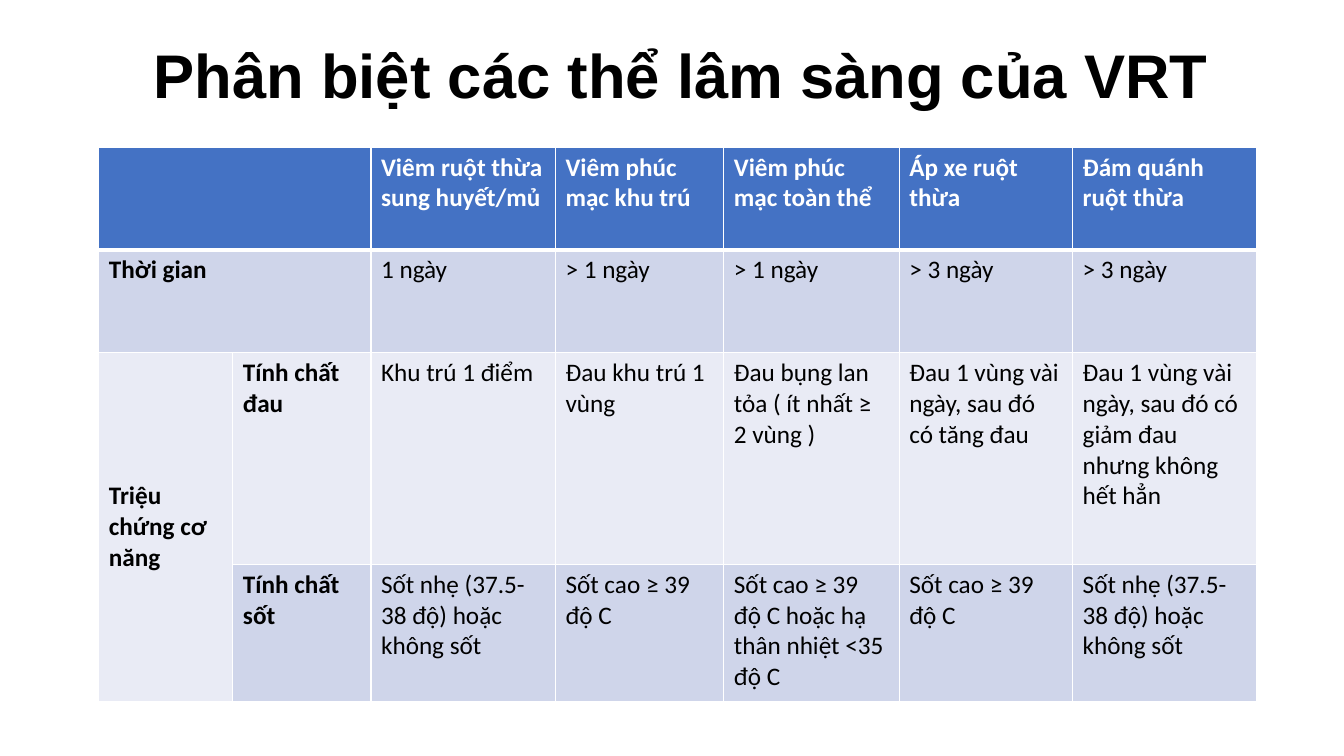
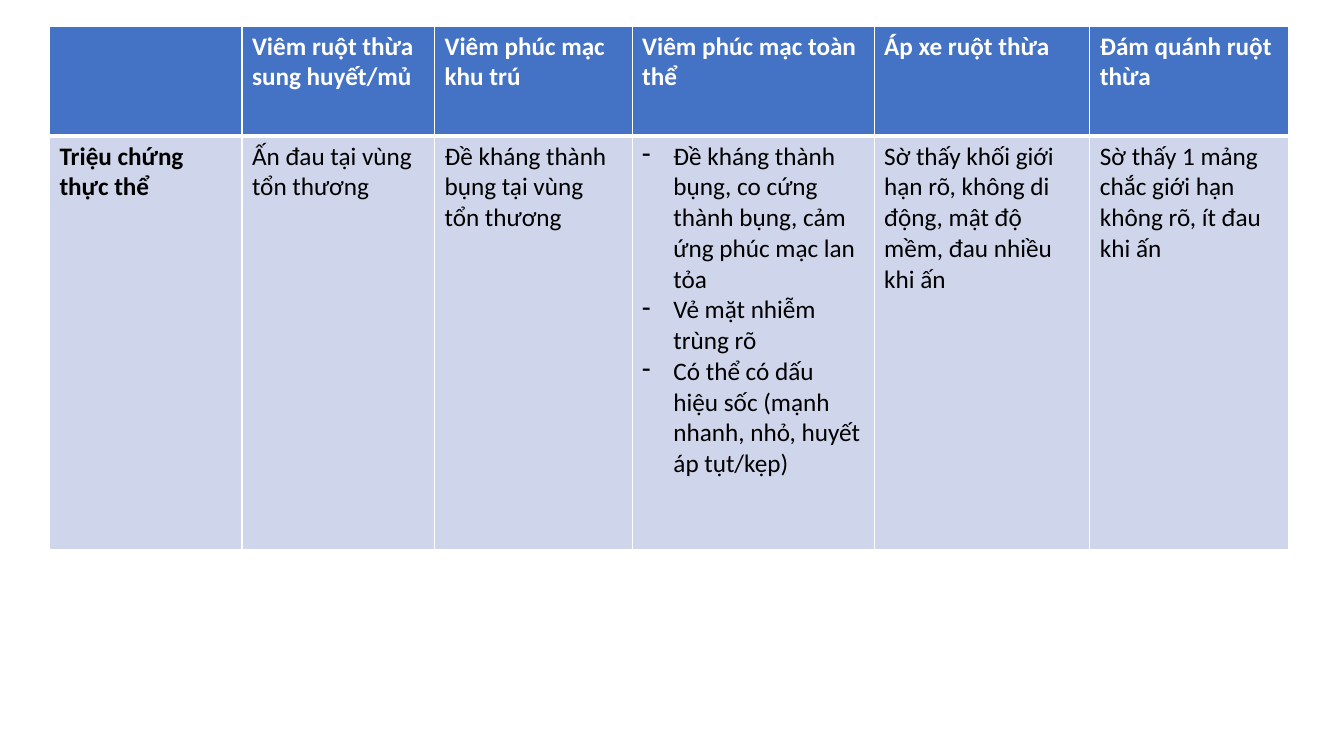
from pptx import Presentation
from pptx.dml.color import RGBColor
from pptx.enum.text import MSO_ANCHOR as Anchor, PP_ALIGN as Align
from pptx.oxml.ns import qn
from pptx.util import Pt
from lxml.etree import SubElement as Sub

PX = 9144
BLACK = RGBColor(0x00, 0x00, 0x00)
WHITE = RGBColor(0xFF, 0xFF, 0xFF)
BLUE = RGBColor(0x44, 0x72, 0xC4)
PALE = RGBColor(0xCF, 0xD5, 0xEA)
LIGHT = RGBColor(0xE9, 0xEB, 0xF5)

HEADS = ["Viêm ruột thừa sung huyết/mủ", "Viêm phúc mạc khu trú ",
         "Viêm phúc mạc toàn thể", "Áp xe ruột thừa", "Đám quánh ruột thừa"]


def write(frame, text, size=18, font="Calibri", color=BLACK, bold=False,
          align=Align.LEFT, space=None, bullet=None):
    lines = text.split("\n")
    for i, line in enumerate(lines):
        par = frame.paragraphs[0] if i == 0 else frame.add_paragraph()
        par.alignment = align
        if space:
            par.line_spacing = space
        if bullet:
            props = par._p.get_or_add_pPr()
            props.set("marL", str(31 * PX))
            props.set("indent", str(-31 * PX))
            Sub(props, qn("a:buChar")).set("char", bullet)
        run = par.add_run()
        run.text = line
        run.font.size = Pt(size)
        run.font.name = font
        run.font.color.rgb = color
        run.font.bold = bold


def grid(slide, left, top, cols, rows, cells, lead):
    frame = slide.shapes.add_table(len(rows), len(cols), left * PX, top * PX,
                                   sum(cols) * PX, sum(rows) * PX)
    table = frame.table
    for col, wide in zip(table.columns, cols):
        col.width = wide * PX
    for row, high in zip(table.rows, rows):
        row.height = high * PX
    for r, line in enumerate(cells):
        for c, text in enumerate(line):
            cell = table.cell(r, c)
            props = cell._tc.get_or_add_tcPr()
            for side in "LRTB":
                thick = (r, side) in [(0, "B"), (1, "T")]
                edge = Sub(props, qn("a:ln" + side), w=str(Pt(3 if thick else 1)))
                paint = Sub(edge, qn("a:solidFill"))
                Sub(paint, qn("a:srgbClr"), val=str(WHITE))
            cell.fill.solid()
            cell.fill.fore_color.rgb = BLUE if r == 0 else PALE if r % 2 else LIGHT
            if text:
                write(cell.text_frame, text, color=BLACK if r else WHITE,
                      bold=r == 0 or c < lead, bullet="-" if "\n" in text else None)
    return table


deck = Presentation()
deck.slide_width = 1333 * PX
deck.slide_height = 750 * PX
blank = deck.slide_layouts[6]

slide = deck.slides.add_slide(blank)
title = slide.shapes.add_textbox(109 * PX, 18 * PX, 1134 * PX, 120 * PX)
title.fill.solid()
title.fill.fore_color.rgb = WHITE
title.line.color.rgb = WHITE
title.line.width = Pt(0.75)
title.text_frame.word_wrap = True
title.text_frame.vertical_anchor = Anchor.MIDDLE
write(title.text_frame, "Phân biệt các thể lâm sàng của VRT", size=44,
      font="Arial", bold=True, align=Align.CENTER, space=0.9)

table = grid(slide, 98, 146, [133, 137, 183, 167, 174, 172, 182],
             [102, 102, 210, 136], [
    ["", "", *HEADS],
    ["Thời gian", "", "1 ngày", "> 1 ngày", "> 1 ngày", "> 3 ngày", "> 3 ngày"],
    ["Triệu chứng cơ năng", "Tính chất đau", "Khu trú 1 điểm",
     "Đau khu trú 1 vùng", "Đau bụng lan tỏa ( ít nhất ≥ 2 vùng )",
     "Đau 1 vùng vài ngày, sau đó có tăng đau",
     "Đau 1 vùng vài ngày, sau đó có giảm đau nhưng không hết hẳn"],
    ["", "Tính chất sốt", "Sốt nhẹ (37.5- 38 độ) hoặc không sốt ",
     "Sốt cao ≥ 39 độ C",
     "Sốt cao ≥ 39 độ C hoặc hạ thân nhiệt <35 độ C",
     "Sốt cao ≥ 39 độ C",
     "Sốt nhẹ (37.5- 38 độ) hoặc không sốt "],
], lead=2)
for r, c, down, right in [(0, 0, 0, 1), (1, 0, 1, 1), (2, 0, 3, 0)]:
    table.cell(r, c).merge(table.cell(down, right))
table.cell(2, 0).vertical_anchor = Anchor.MIDDLE

slide = deck.slides.add_slide(blank)
grid(slide, 49, 26, [191, 191, 196, 240, 214, 197], [109, 410], [
    ["", *HEADS],
    ["Triệu chứng thực thể", "Ấn đau tại vùng tổn thương",
     "Đề kháng thành bụng tại vùng tổn thương",
     "Đề kháng thành bụng, co cứng thành bụng, cảm ứng phúc mạc lan tỏa\n"
     "Vẻ mặt nhiễm trùng rõ\n"
     "Có thể có dấu hiệu sốc (mạnh nhanh, nhỏ, huyết áp tụt/kẹp)",
     "Sờ thấy khối giới hạn rõ, không di động, mật độ mềm, đau nhiều khi ấn",
     "Sờ thấy 1 mảng chắc giới hạn không rõ, ít đau khi ấn"],
], lead=1)

deck.save("out.pptx")
